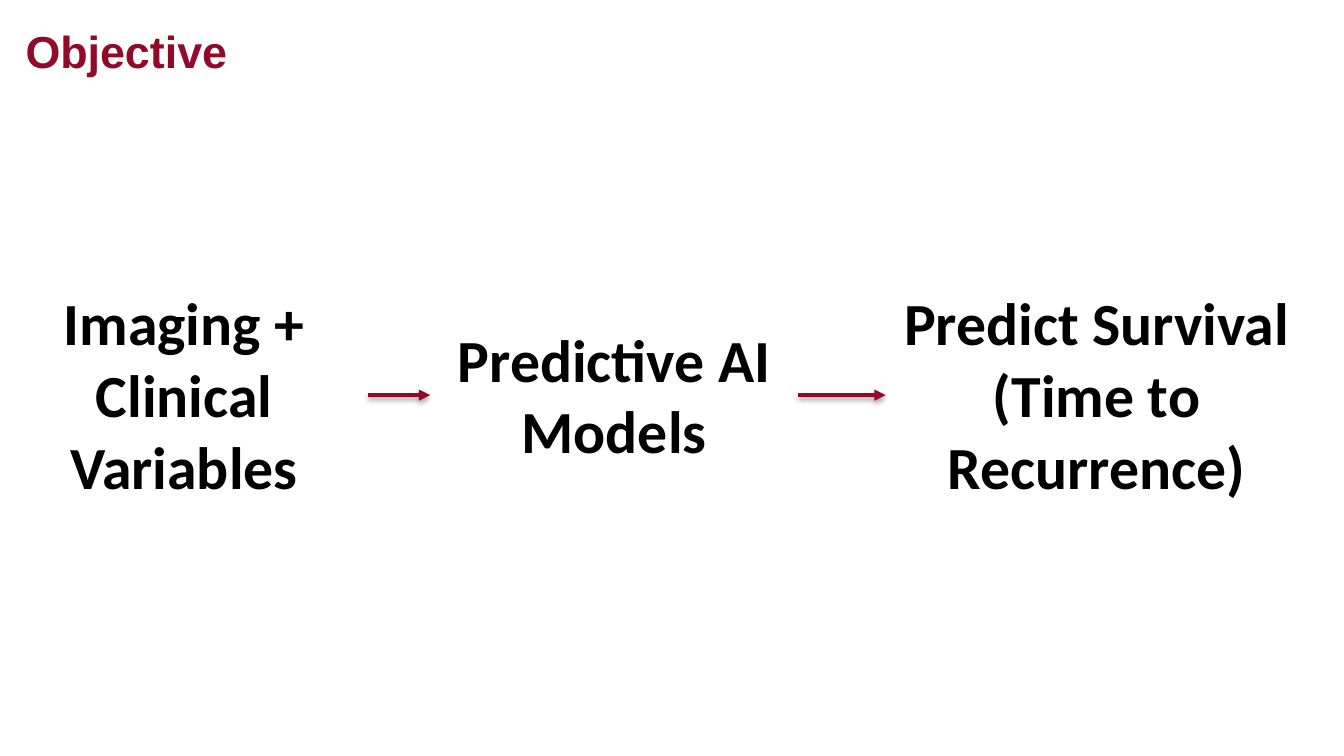
from lxml import etree
from pptx import Presentation
from pptx.dml.color import RGBColor
from pptx.enum.shapes import MSO_CONNECTOR
from pptx.enum.text import MSO_ANCHOR, MSO_AUTO_SIZE, PP_ALIGN
from pptx.oxml.ns import qn
from pptx.util import Inches, Pt

COLORS = {"accent": "910A29", "text": "000000", "shadow": "000000"}
TITLE = "Objective"
STEPS = [
    ("Imaging + Clinical Variables", 0, 2.74, 1.72),
    ("Predictive AI Models", 3.2, 2.74, 1.18),
    ("Predict Survival (Time to Recurrence)", 6.59, 3.14, 1.72),
]
SLIDE_WIDTH = 10
FLOW_MIDDLE = 2.94
TITLE_FONT = {"name": "Arial", "size": Pt(24), "bold": True}
STEP_FONT = {"name": "Calibri", "size": Pt(32), "bold": True}
TITLE_FRAME = {
    "margin_left": 0,
    "margin_top": Inches(0.05),
    "margin_right": Inches(0.1),
    "margin_bottom": 0,
    "vertical_anchor": MSO_ANCHOR.MIDDLE,
}
STEP_FRAME = {"auto_size": MSO_AUTO_SIZE.SHAPE_TO_FIT_TEXT}


def set_values(target, values):
    for name, value in values.items():
        setattr(target, name, value)


def add_text(slide, text, box, font, color, frame_values, paragraph_values):
    shape = slide.shapes.add_textbox(*map(Inches, box))
    frame = shape.text_frame
    set_values(frame, {"word_wrap": True, **frame_values})
    paragraph = frame.paragraphs[0]
    set_values(paragraph, paragraph_values)
    run = paragraph.add_run()
    run.text = text
    set_values(run.font, font)
    run.font.color.rgb = RGBColor.from_string(COLORS[color])


def add_arrow(slide, start, end):
    arrow = slide.shapes.add_connector(
        MSO_CONNECTOR.STRAIGHT,
        Inches(start), Inches(FLOW_MIDDLE), Inches(end), Inches(FLOW_MIDDLE),
    )
    arrow.line.width = Pt(2)
    arrow.line.color.rgb = RGBColor.from_string(COLORS["accent"])
    properties = arrow.element.spPr
    etree.SubElement(properties.find(qn("a:ln")), qn("a:tailEnd"), type="triangle")
    effects = etree.SubElement(properties, qn("a:effectLst"))
    shadow = etree.SubElement(
        effects, qn("a:outerShdw"), blurRad=str(Pt(3.1)), dist=str(Pt(1.6)),
        dir="5400000", rotWithShape="0",
    )
    color = etree.SubElement(shadow, qn("a:srgbClr"), val=COLORS["shadow"])
    etree.SubElement(color, qn("a:alpha"), val="38000")


def main():
    presentation = Presentation()
    presentation.slide_width = Inches(SLIDE_WIDTH)
    presentation.slide_height = Inches(SLIDE_WIDTH * 9 / 16)
    slide = presentation.slides.add_slide(presentation.slide_layouts[6])

    add_text(slide, TITLE, (0.19, 0, 6.7, 0.77), TITLE_FONT, "accent",
             TITLE_FRAME, {"line_spacing": Pt(24)})
    for text, left, width, height in STEPS:
        box = (left, FLOW_MIDDLE - height / 2, width, height)
        add_text(slide, text, box, STEP_FONT, "text", STEP_FRAME,
                 {"alignment": PP_ALIGN.CENTER})
    for (_, left, width, _), (_, next_left, _, _) in zip(STEPS, STEPS[1:]):
        add_arrow(slide, left + width, next_left)

    presentation.save("out.pptx")


if __name__ == "__main__":
    main()
